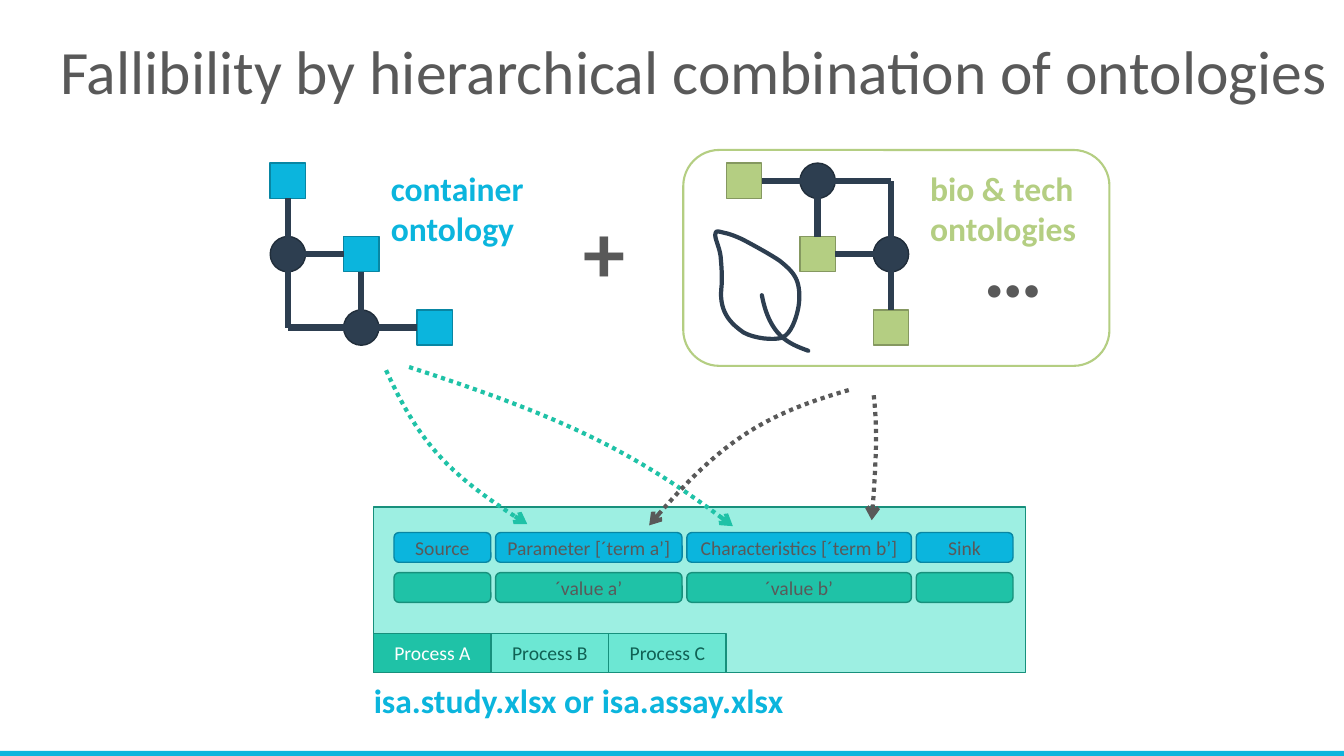
from collections import namedtuple

from lxml import etree
from pptx import Presentation
from pptx.dml.color import RGBColor
from pptx.enum.dml import MSO_LINE
from pptx.enum.shapes import MSO_CONNECTOR, MSO_SHAPE
from pptx.enum.text import MSO_ANCHOR, PP_ALIGN
from pptx.oxml.ns import qn
from pptx.util import Cm, Pt

RECTANGLE, ROUNDED, CIRCLE = MSO_SHAPE.RECTANGLE, MSO_SHAPE.ROUNDED_RECTANGLE, MSO_SHAPE.OVAL
STRAIGHT, DOTTED = MSO_CONNECTOR.STRAIGHT, MSO_LINE.ROUND_DOT
LEFT, CENTER, MIDDLE, TOP = PP_ALIGN.LEFT, PP_ALIGN.CENTER, MSO_ANCHOR.MIDDLE, MSO_ANCHOR.TOP

WHITE = RGBColor(0xFF, 0xFF, 0xFF)
GRAY = RGBColor(0x59, 0x59, 0x59)
NAVY = RGBColor(0x2D, 0x3E, 0x50)
NAVY_EDGE = RGBColor(0x21, 0x2E, 0x3B)
BLUE = RGBColor(0x0B, 0xB5, 0xDD)
BLUE_EDGE = RGBColor(0x08, 0x86, 0xA3)
GREEN = RGBColor(0xB4, 0xCE, 0x82)
GREEN_EDGE = RGBColor(0x85, 0x98, 0x60)
TEAL = RGBColor(0x1F, 0xC2, 0xA7)
TEAL_EDGE = RGBColor(0x17, 0x90, 0x7C)
TEAL_LIGHT = RGBColor(0x6C, 0xE7, 0xD3)
TEAL_PALE = RGBColor(0x9D, 0xEF, 0xE2)
TEAL_DARK = RGBColor(0x10, 0x61, 0x54)

NODE = 0.89
PITCH = 1.85
HALF = NODE / 2 / PITCH

# Each curve is a start point followed by three points per Bezier segment.
LEAF = [
    (1.68, 2.72), (1.45, 2.79), (0.99, 2.74), (0.71, 2.59), (0.46, 2.41), (0.08, 2.13),
    (0.15, 1.47), (0.18, 1.22), (0.15, 0.89), (0.13, 0.66), (0.1, 0.43), (-0.03, 0.2),
    (0, 0.1), (0, 0), (0.1, 0.05), (0.23, 0.08), (0.36, 0.1), (0.61, 0.2),
    (0.79, 0.3), (0.94, 0.38), (1.42, 0.64), (1.63, 0.79), (1.85, 0.97), (1.98, 1.09),
    (2.06, 1.3), (2.13, 1.5), (2.13, 1.78), (2.08, 2.01), (2.03, 2.24), (1.91, 2.62),
    (1.68, 2.72),
]
STEM = [(2.34, 3.05), (1.85, 2.87), (1.37, 2.69), (1.17, 1.65)]
MAPPINGS = [
    (TEAL, [(0, 0.08), (0.81, 1.85), (1.6, 2.74), (3.56, 3.96)]),
    (TEAL, [(0.58, 0), (4.39, 1.24), (6.27, 2.13), (8.74, 4.01)]),
    (GRAY, [(11.66, 0.58), (9.53, 1.19), (8.36, 1.93), (6.63, 3.99)]),
    (GRAY, [(12.29, 0.71), (12.37, 1.45), (12.37, 2.16), (12.24, 3.86)]),
]

Box = namedtuple("Box", "left top width height")


def inside(box, left, top, width, height):
    """Return a box given relative to the corner of another one."""
    return Box(box.left + left, box.top + top, width, height)


def write(shape, text, size, color, bold=False, align=LEFT):
    para = shape.text_frame.paragraphs[0]
    para.text = text
    para.alignment = align
    for span in para.runs:
        span.font.name = "Calibri"
        span.font.size = Pt(size)
        span.font.bold = bold
        span.font.color.rgb = color
    return para


def add_label(page, box, text, size, color, bold=True, wrap=False, anchor=TOP):
    label = page.shapes.add_textbox(*map(Cm, box))
    label.text_frame.word_wrap = wrap
    label.text_frame.vertical_anchor = anchor
    return write(label, text, size, color, bold)


def add_block(page, kind, box, fill, edge=None, width=1, text="", color=GRAY):
    block = page.shapes.add_shape(kind, *map(Cm, box))
    block.shadow.inherit = False
    if fill is None:
        block.fill.background()
    else:
        block.fill.solid()
        block.fill.fore_color.rgb = fill
    if edge is None:
        block.line.fill.background()
    else:
        block.line.color.rgb = edge
        block.line.width = Pt(width)
    if text:
        frame = block.text_frame
        frame.margin_left = frame.margin_right = frame.margin_top = frame.margin_bottom = 0
        frame.vertical_anchor = MIDDLE
        write(block, text, 14, color, align=CENTER)


def add_curve(page, box, points, color, close=False, arrow=False):
    spots = [(Cm(box.left + x), Cm(box.top + y)) for x, y in points]
    builder = page.shapes.build_freeform(*spots[0], scale=1.0)
    builder.add_line_segments(spots[1:], close=close)
    curve = builder.convert_to_shape()
    curve.shadow.inherit = False
    curve.fill.background()
    curve.line.color.rgb = color
    curve.line.width = Pt(3)
    segments = list(curve._element.iter(qn("a:lnTo")))
    for index in range(0, len(segments), 3):
        bezier = etree.Element(qn("a:cubicBezTo"))
        segments[index].addprevious(bezier)
        for segment in segments[index:index + 3]:
            bezier.append(segment[0])
            segment.getparent().remove(segment)
    outline = curve._element.spPr.find(qn("a:ln"))
    if arrow:
        curve.line.dash_style = DOTTED
        etree.SubElement(outline, qn("a:tailEnd"), type="arrow")
    else:
        outline.set("cap", "rnd")


def draw_graph(page, box, squares, circles, edges, fill, edge_color):
    """Draw nodes and edges given in columns and rows of a square grid."""
    for column, row in squares:
        node = inside(box, column * PITCH, row * PITCH, NODE, NODE)
        add_block(page, RECTANGLE, node, fill, edge_color)
    for column, row in circles:
        node = inside(box, column * PITCH, row * PITCH, NODE, NODE)
        add_block(page, CIRCLE, node, NAVY, NAVY_EDGE)
    for edge in edges:
        ends = [Cm(start + NODE / 2 + step * PITCH)
                for start, step in zip((box.left, box.top) * 2, edge)]
        line = page.shapes.add_connector(STRAIGHT, *ends)
        line.line.color.rgb = NAVY
        line.line.width = Pt(4.5)
        etree.SubElement(line._element.spPr, qn("a:effectLst"))


def draw_container_ontology(page, box):
    edges = [(0, HALF, 0, 2), (1, 1 + HALF, 1, 2), (0, 2, 2 - HALF, 2), (0, 1, 1 - HALF, 1)]
    draw_graph(page, box, [(0, 0), (1, 1), (2, 2)], [(0, 1), (1, 2)], edges, BLUE, BLUE_EDGE)
    add_label(page, inside(box, 2.79, 0, 3.89, 2.31), "container\nontology", 24, BLUE)


def draw_domain_ontologies(page, box):
    add_block(page, ROUNDED, box, None, GREEN, 1.5)
    edges = [(2, 2 - HALF, 2, 0), (1, 1 - HALF, 1, 0), (2, 0, HALF, 0), (2, 1, 1 + HALF, 1)]
    draw_graph(page, inside(box, 1.09, 0.33, 4.6, 4.6), [(0, 0), (1, 1), (2, 2)],
               [(1, 0), (2, 1)], edges, GREEN, GREEN_EDGE)
    leaf = inside(box, 0.81, 2.01, 2.34, 3.05)
    add_curve(page, leaf, LEAF, NAVY, close=True)
    add_curve(page, leaf, STEM, NAVY)
    add_label(page, inside(box, 7.32, 1.47, 2.03, 2.82), "…", 60, GRAY)
    add_label(page, inside(box, 5.97, 0.33, 4.22, 2.31), "bio & tech\nontologies", 24, GREEN)


def draw_spreadsheet(page, box):
    add_block(page, RECTANGLE, box, TEAL_PALE, TEAL_EDGE)
    columns = [(2.44, "Source", ""), (4.7, "Parameter [´term a’]", "´value a’"),
               (5.66, "Characteristics [´term b’]", "´value b’"), (2.44, "Sink", "")]
    left = 0.51
    for width, header, value in columns:
        add_block(page, ROUNDED, inside(box, left, 0.64, width, 0.75), BLUE, BLUE_EDGE, text=header)
        add_block(page, ROUNDED, inside(box, left, 1.65, width, 0.75), TEAL, TEAL_EDGE, text=value)
        left += width + 0.12
    tabs = [("Process A", TEAL, WHITE), ("Process B", TEAL_LIGHT, TEAL_DARK),
            ("Process C", TEAL_LIGHT, TEAL_DARK)]
    for index, (name, fill, color) in enumerate(tabs):
        tab = inside(box, index * 2.96, 3.18, 2.96, 0.99)
        add_block(page, RECTANGLE, tab, fill, TEAL_EDGE, text=name, color=color)
    add_label(page, inside(box, -0.25, 4.24, 11.2, 1.27),
              "isa.study.xlsx or isa.assay.xlsx", 24, BLUE)


def draw_mappings(page, box):
    for color, points in MAPPINGS:
        add_curve(page, box, points, color, arrow=True)


def draw_frame(page, box):
    """Draw the title and the bar along the bottom edge."""
    add_block(page, RECTANGLE, inside(box, 0, 18.92, box.width, 0.13), BLUE)
    title = add_label(page, inside(box, 1.27, 0.03, 32.6, 3.68),
                      "Fallibility by hierarchical combination of ontologies",
                      44, GRAY, bold=False, wrap=True, anchor=MIDDLE)
    title.line_spacing = 0.9


def main():
    deck = Presentation()
    deck.slide_width, deck.slide_height = Cm(33.87), Cm(19.05)
    page = deck.slides.add_slide(deck.slide_layouts[6])
    draw_frame(page, Box(0, 0, 33.87, 19.05))
    draw_container_ontology(page, Box(6.81, 4.11, 6.68, 4.6))
    add_label(page, Box(14.45, 4.9, 1.57, 2.82), "+", 60, GRAY)
    draw_domain_ontologies(page, Box(17.22, 3.78, 10.74, 5.44))
    draw_spreadsheet(page, Box(9.42, 12.78, 16.43, 4.17))
    draw_mappings(page, Box(9.73, 9.25, 12.37, 4.01))
    deck.save("out.pptx")


if __name__ == "__main__":
    main()
